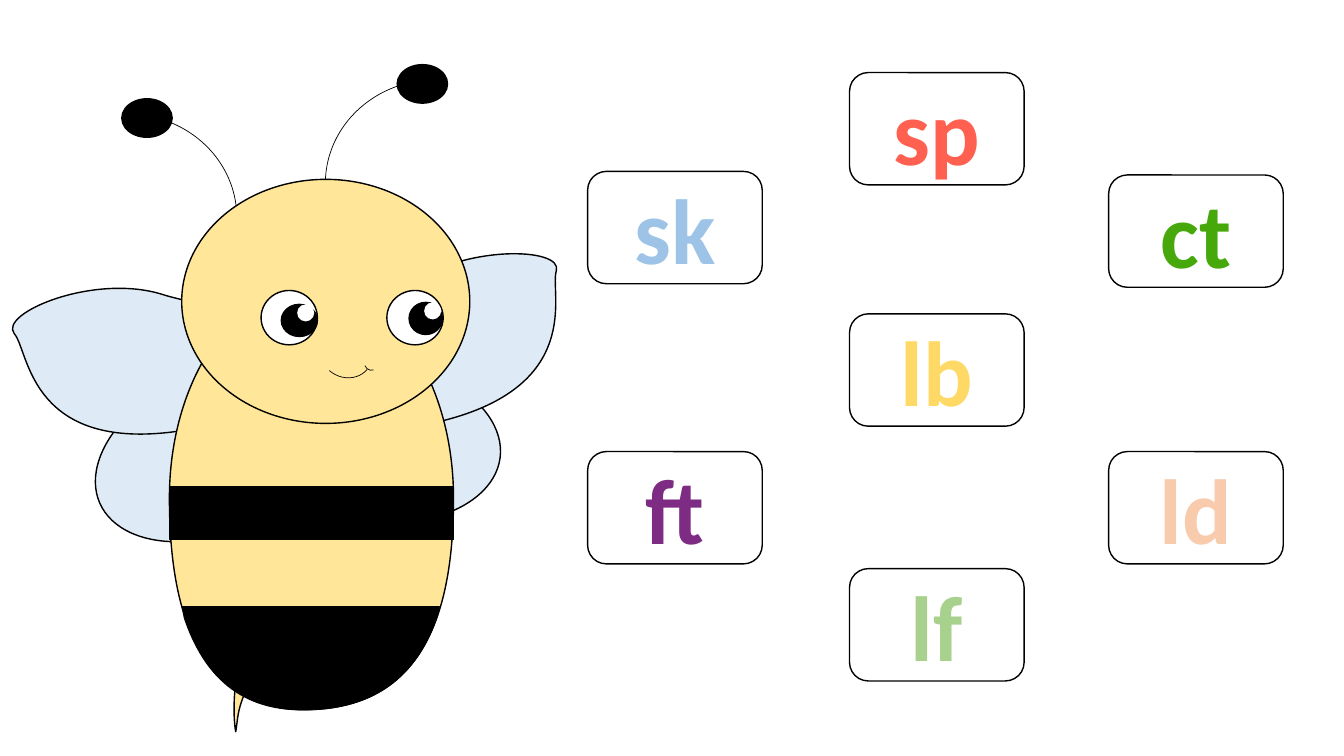
from math import cos, radians, sin

from lxml.etree import SubElement
from pptx import Presentation
from pptx.dml.color import RGBColor
from pptx.enum.shapes import MSO_SHAPE
from pptx.enum.text import MSO_ANCHOR, PP_ALIGN
from pptx.oxml.ns import qn
from pptx.util import Cm, Pt

BLACK = RGBColor(0x00, 0x00, 0x00)
WHITE = RGBColor(0xFF, 0xFF, 0xFF)
HONEY = RGBColor(0xFF, 0xE6, 0x99)
WING = RGBColor(0xDE, 0xEB, 0xF7)
SKY = RGBColor(0x9D, 0xC3, 0xE6)
GREEN = RGBColor(0x46, 0xA8, 0x0B)
GOLD = RGBColor(0xFF, 0xD9, 0x66)
CORAL = RGBColor(0xFF, 0x60, 0x50)
PURPLE = RGBColor(0x7E, 0x2B, 0x83)
PEACH = RGBColor(0xF8, 0xCB, 0xAD)
SAGE = RGBColor(0xA9, 0xD1, 0x8E)
OVAL, ARC, BAND = MSO_SHAPE.OVAL, MSO_SHAPE.ARC, MSO_SHAPE.RECTANGLE


def paint(shape, fill, weight):
    shape.shadow.inherit = False
    if fill is None:
        shape.fill.background()
    else:
        shape.fill.solid()
        shape.fill.fore_color.rgb = fill
    if weight:
        shape.line.color.rgb = BLACK
        shape.line.width = Pt(weight)
    else:
        shape.line.fill.background()


def trace(page, frame, segments, rotation):
    """Closed outline; each segment is a start, a line (1 point) or a curve (3 points)."""
    left, top, width, height = frame
    builder = page.shapes.build_freeform(Cm(left), Cm(top), scale=1.0)
    builder.add_line_segments([(Cm(left + width), Cm(top + height))])
    shape = builder.convert_to_shape()
    outline = shape.element.spPr.find(".//" + qn("a:path"))
    for child in list(outline):
        outline.remove(child)
    turn = radians(rotation)
    for index, segment in enumerate(segments):
        tag = "a:moveTo" if index == 0 else "a:lnTo" if len(segment) == 1 else "a:cubicBezTo"
        step = SubElement(outline, qn(tag))
        for x, y in segment:
            dx, dy = x - left - width / 2, y - top - height / 2
            local_x = width / 2 + dx * cos(turn) + dy * sin(turn)
            local_y = height / 2 - dx * sin(turn) + dy * cos(turn)
            SubElement(step, qn("a:pt"), x=str(int(Cm(local_x))), y=str(int(Cm(local_y))))
    SubElement(outline, qn("a:close"))
    return shape


deck = Presentation()
deck.slide_width, deck.slide_height = Cm(33.87), Cm(19.05)
page = deck.slides.add_slide(deck.slide_layouts[6])

# Outlines of the bee: frame, then segments
sting = ((5.31, 16.59, 2.01, 1.4), [
    [(6.12, 16.28)],
    [(6.78, 16.43)],
    [(5.94, 17.65), (6.02, 17.96), (5.94, 18.44)],
    [(5.92, 18.36), (5.79, 17.5), (6.12, 16.28)],
])
right_wing = ((6.32, 7.14, 8.48, 4.04), [
    [(8.94, 10.92)],
    [(15.09, 10.54), (13.82, 7.42), (14.02, 6.83)],
    [(14.22, 6.22), (11.61, 6.15), (10.19, 7.26)],
    [(8.79, 8.41), (2.79, 11.28), (8.94, 10.92)],
])
left_wing = ((0.18, 7.29, 8.48, 4.04), [
    [(6.58, 10.36)],
    [(0.71, 12.27), (0.79, 8.89), (0.36, 8.41)],
    [(-0.05, 7.9), (2.36, 6.88), (4.09, 7.42)],
    [(5.82, 7.98), (12.45, 8.46), (6.58, 10.36)],
])
body = ((2.51, 8.97, 10.67, 7.19), [
    [(7.85, 17.88)],
    [(5.05, 17.98), (4.27, 15.49), (4.27, 12.55)],
    [(4.27, 9.6), (5.87, 7.21), (7.85, 7.21)],
    [(9.83, 7.21), (11.43, 9.6), (11.43, 12.55)],
    [(11.43, 15.49), (10.64, 17.78), (7.85, 17.88)],
])
tail = ((4.6, 15.29, 6.5, 2.59), [
    [(4.6, 15.29)],
    [(11.07, 15.29)],
    [(11.02, 15.52)],
    [(10.54, 16.92), (9.58, 17.83), (7.82, 17.88)],
    [(6.05, 17.96), (5.13, 16.99), (4.65, 15.57)],
])

# Sting, behind everything
sting_shape = trace(page, *sting, 73)
sting_shape.rotation = 73
paint(sting_shape, HONEY, 1)

# Sound cards
LEFT, MIDDLE, RIGHT = 14.81, 21.41, 27.94
cards = [
    ("sk", LEFT, 4.32, SKY),
    ("ct", RIGHT, 4.41, GREEN),
    ("lb", MIDDLE, 7.91, GOLD),
    ("sp", MIDDLE, 1.83, CORAL),
    ("ft", LEFT, 11.38, PURPLE),
    ("ld", RIGHT, 11.38, PEACH),
    ("lf", MIDDLE, 14.33, SAGE),
]
for letters, x, y, color in cards:
    card = page.shapes.add_shape(MSO_SHAPE.ROUNDED_RECTANGLE, Cm(x), Cm(y), Cm(4.4), Cm(2.83))
    paint(card, None, 1)
    card.text_frame.word_wrap = True
    card.text_frame.vertical_anchor = MSO_ANCHOR.MIDDLE
    para = card.text_frame.paragraphs[0]
    para.alignment = PP_ALIGN.CENTER
    span = para.add_run()
    span.text = letters
    span.font.name = "Calibri"
    span.font.size = Pt(66)
    span.font.bold = True
    span.font.color.rgb = color

# Bee from back to front: kind (None for an outline), geometry, fill, line, rotation, flip
bee = [
    # Antennae
    (ARC, (8.2, 2.01, 5.56, 5.23), None, 0.5, 0, "flipH"),
    (OVAL, (10.01, 1.63, 1.27, 0.97), BLACK, 1, 0, None),
    (ARC, (0.41, 2.87, 5.56, 5.23), None, 0.5, 0, None),
    (OVAL, (3.07, 2.49, 1.27, 0.97), BLACK, 1, 0, None),
    # Wings
    (OVAL, (6.1, 9.07, 6.53, 4.09), WING, 1, 7.4, "flipV"),
    (None, right_wing, WING, 1, 321.2, None),
    (OVAL, (2.24, 9.32, 6.53, 4.09), WING, 1, 336.3, None),
    (None, left_wing, WING, 1, 17.5, None),
    # Body and head
    (None, body, HONEY, 1, 270, None),
    (OVAL, (4.58, 4.52, 7.26, 6.15), HONEY, 1, 0, None),
    # Right eye and smile
    (OVAL, (9.75, 7.32, 1.42, 1.37), WHITE, 1, 0, None),
    (ARC, (8.03, 8.2, 1.4, 1.3), None, 0.5, 41.3, "flipV"),
    (OVAL, (10.31, 7.62, 0.84, 0.81), BLACK, 1, 0, None),
    (OVAL, (10.69, 7.62, 0.43, 0.43), WHITE, 0, 0, None),
    # Left eye and dimple
    (OVAL, (6.58, 7.32, 1.42, 1.37), WHITE, 1, 0, None),
    (OVAL, (7.09, 7.67, 0.91, 0.81), BLACK, 1, 0, None),
    (OVAL, (7.49, 7.67, 0.43, 0.43), WHITE, 0, 0, None),
    (ARC, (9.17, 8.99, 0.36, 0.33), None, 0.5, 68.4, "flipV"),
    # Stripes
    (BAND, (4.27, 12.27, 7.16, 1.32), BLACK, 1, 0, None),
    (None, tail, BLACK, 1, 0, None),
]
for kind, geometry, fill, weight, rotation, flip in bee:
    if kind is None:
        part = trace(page, *geometry, rotation)
    else:
        part = page.shapes.add_shape(kind, *[Cm(length) for length in geometry])
    part.rotation = rotation
    if flip:
        part.element.spPr.xfrm.set(flip, "1")
    paint(part, fill, weight)

deck.save("out.pptx")
